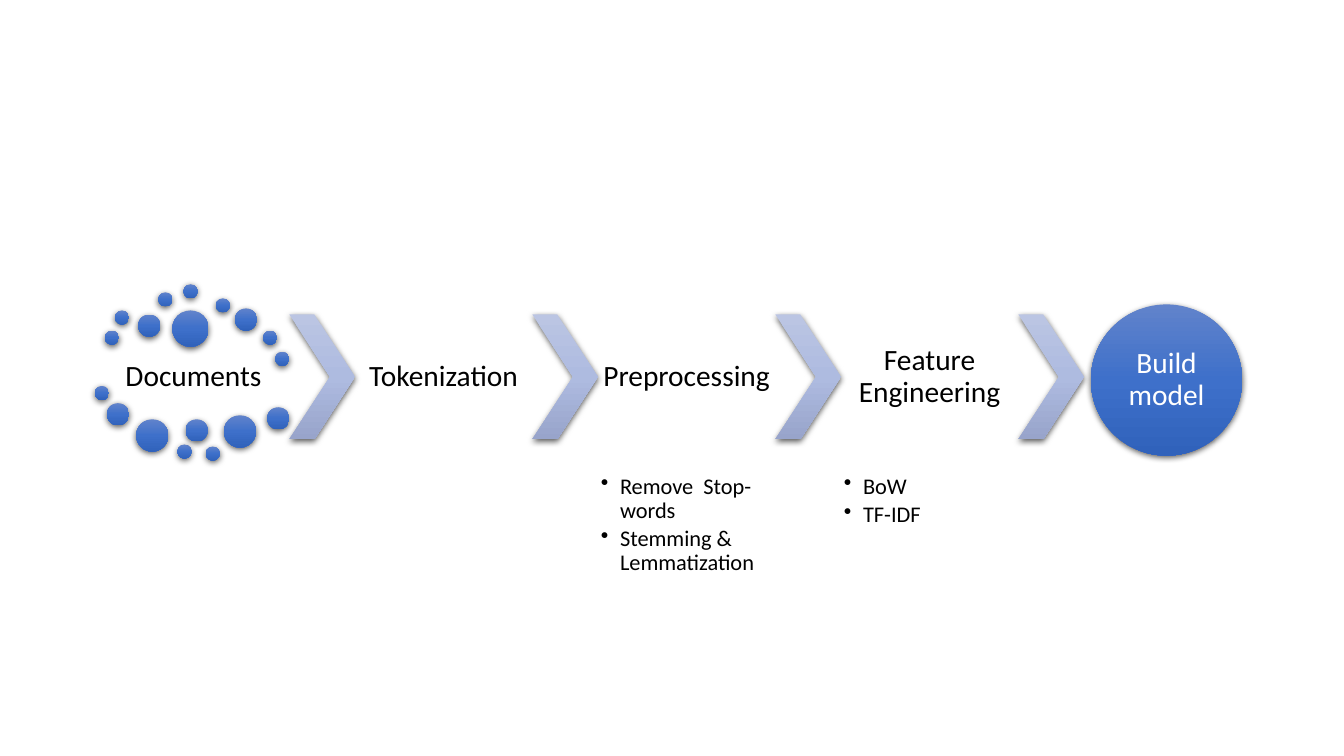
from copy import deepcopy

from lxml import etree
from pptx import Presentation
from pptx.dml.color import RGBColor
from pptx.enum import shapes, text
from pptx.oxml import ns
from pptx.util import Inches, Pt

BLUE = ("6183CB", "3E70CA", "3062BB")
LAVENDER = ("BBC5E3", "AEBBE0", "98A4CB")


def color(value):
    return RGBColor.from_string(value)


def add_child(parent, tag, **attributes):
    return etree.SubElement(parent, ns.qn(tag), attributes)


class Flow:
    font = "Calibri"
    label_size = 21
    bullet_size = 16

    def __init__(self, page):
        self.page = page

    def shape(self, kind, left, top, width, height, shades):
        shape = self.page.shapes.add_shape(
            kind, Inches(left), Inches(top), Inches(width), Inches(height))
        shape.line.fill.background()
        self.shade(shape, shades)
        self.shadow(shape)
        return shape

    def shade(self, shape, shades):
        shape.fill.gradient()
        shape.fill.gradient_angle = 270
        first = shape._element.spPr.xpath("./a:gradFill/a:gsLst/a:gs")[0]
        first.addnext(deepcopy(first))
        for stop, shade, position in zip(shape.fill.gradient_stops, shades, (0, 0.5, 1)):
            stop.color.rgb = color(shade)
            stop.position = position

    def shadow(self, shape):
        shape.shadow.inherit = False
        effects = shape._element.spPr.find(ns.qn("a:effectLst"))
        outer = add_child(effects, "a:outerShdw", blurRad=str(Pt(4.5)), dist=str(Pt(1.5)),
                          dir="5400000", algn="ctr", rotWithShape="0")
        black = add_child(outer, "a:srgbClr", val="000000")
        add_child(black, "a:alpha", val="63000")

    def circle(self, left, top, size):
        return self.shape(shapes.MSO_SHAPE.OVAL, left, top, size, size, BLUE)

    def chevron(self, left, top, width, height):
        chevron = self.shape(shapes.MSO_SHAPE.CHEVRON, left, top, width, height, LAVENDER)
        chevron.adjustments[0] = 0.62

    def text_box(self, left, top, width, height, lines, size, ink, margin):
        box = self.page.shapes.add_textbox(
            Inches(left), Inches(top), Inches(width), Inches(height))
        frame = box.text_frame
        frame.word_wrap = True
        frame.margin_left = frame.margin_right = Inches(margin)
        frame.margin_top = frame.margin_bottom = Inches(margin)
        frame.text = "\n".join(lines)
        for paragraph in frame.paragraphs:
            paragraph.line_spacing = 0.9
            for span in paragraph.runs:
                span.font.name = self.font
                span.font.size = Pt(size)
                span.font.color.rgb = color(ink)
        return frame

    def label(self, left, top, width, height, words, ink="000000", margin=0.03):
        frame = self.text_box(left, top, width, height, [words], self.label_size, ink, margin)
        frame.vertical_anchor = text.MSO_ANCHOR.MIDDLE
        frame.paragraphs[0].alignment = text.PP_ALIGN.CENTER

    def bullets(self, left, top, width, height, lines):
        frame = self.text_box(left, top, width, height, lines, self.bullet_size, "000000", 0.03)
        for paragraph in frame.paragraphs:
            paragraph.space_after = Pt(3)
            properties = paragraph._p.get_or_add_pPr()
            properties.set("marL", str(Inches(0.19)))
            properties.set("indent", str(-Inches(0.19)))
            add_child(properties, "a:buChar", char="•")


deck = Presentation()
deck.slide_width = Inches(13.33)
deck.slide_height = Inches(7.5)
flow = Flow(deck.slides.add_slide(deck.slide_layouts[6]))

flow.label(1.04, 3.45, 1.76, 0.58, "Documents")

DOTS = {
    0.14: [(1.04, 3.28), (1.14, 3.08), (1.57, 2.9), (1.82, 2.82), (2.14, 2.96),
           (2.61, 3.28), (2.73, 3.49), (0.94, 3.83), (1.76, 4.41), (2.04, 4.43)],
    0.22: [(1.37, 3.12), (2.33, 3.06), (1.06, 4), (1.84, 4.16), (2.65, 4.04)],
    0.32: [(1.35, 4.16), (2.22, 4.12)],
    0.36: [(1.71, 3.08)],
}
for size, places in DOTS.items():
    for left, top in places:
        flow.circle(left, top, size)

STEPS = [
    ("Tokenization", []),
    ("Preprocessing", ["Remove  Stop-words", "Stemming & Lemmatization"]),
    ("Feature Engineering", ["BoW", "TF-IDF"]),
]
FIRST, TOP, HEIGHT = 2.87, 3.12, 1.24
CHEVRON_WIDTH, LABEL_WIDTH = 0.65, 1.76
PITCH = CHEVRON_WIDTH + LABEL_WIDTH

for index in range(len(STEPS) + 1):
    flow.chevron(FIRST + index * PITCH, TOP, CHEVRON_WIDTH, HEIGHT)
for index, (name, details) in enumerate(STEPS):
    left = FIRST + CHEVRON_WIDTH + index * PITCH
    flow.label(left, TOP, LABEL_WIDTH, HEIGHT, name)
    if details:
        flow.bullets(left, 4.68, LABEL_WIDTH, 1.09, details)

flow.circle(10.82, 3.02, 1.5)
flow.label(11.04, 3.24, 1.06, 1.06, "Build model", ink="FFFFFF", margin=0)

deck.save("out.pptx")
